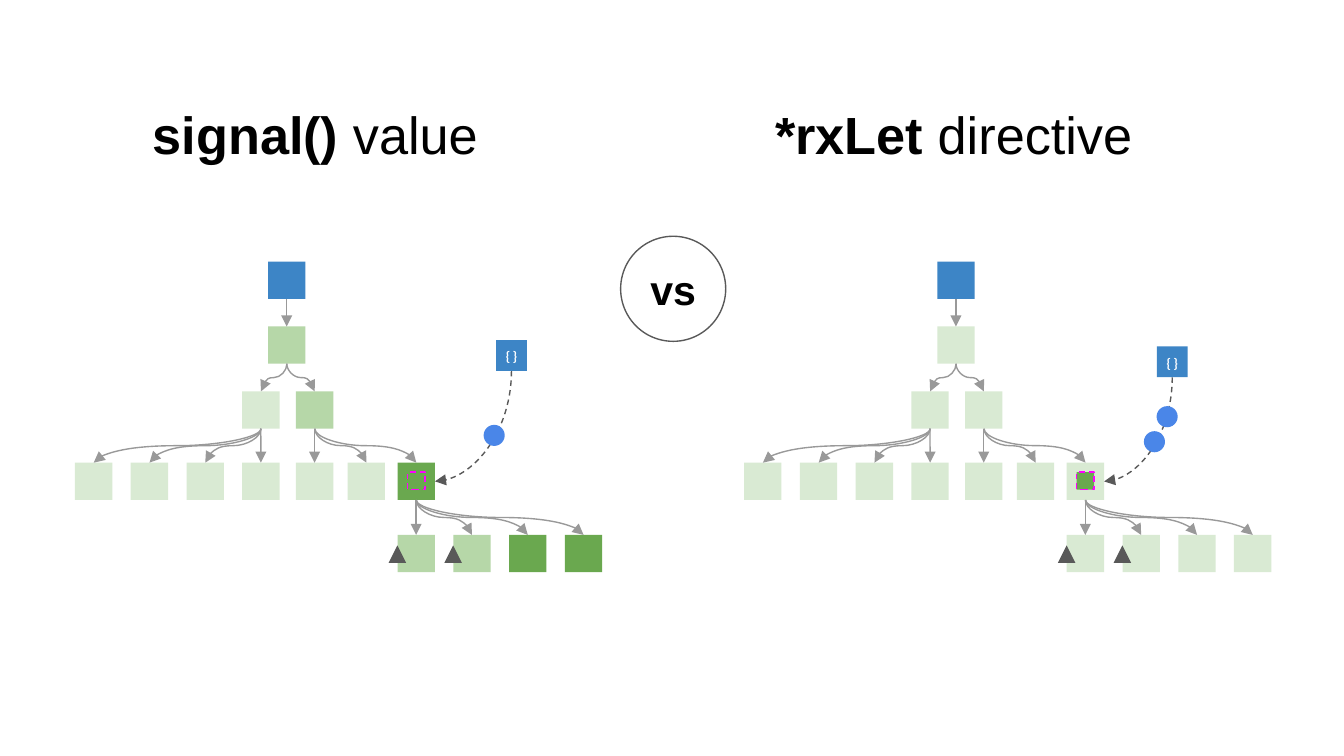
import pptx
import pptx.util
import pptx.dml.color
import pptx.enum.dml
import pptx.enum.shapes
import pptx.enum.text
import pptx.oxml.ns
from lxml import etree

Pt = pptx.util.Pt
KIND = pptx.enum.shapes.MSO_SHAPE
ALIGN = pptx.enum.text.PP_ALIGN
ANCHOR = pptx.enum.text.MSO_ANCHOR
DASH = pptx.enum.dml.MSO_LINE.DASH

# Content
BLUE, DOT, PINK = "3D85C6", "4A86E8", "FF00FF"
PALE, MID, FULL = "D9EAD3", "B6D7A8", "6AA84F"
GRAY, DARK, BLACK, WHITE = "999999", "595959", "000000", "FFFFFF"

BOX = 20
GAP = 29.87
ROWS = [140.2, 174.9, 209.7, 247.9, 286.6]
# node: (left, row)
NODES = {"root": (143.7, 0), "app": (143.7, 1), "west": (129.8, 2), "east": (158.6, 2)}
NODES |= {f"w{i}": (40.2 + i * GAP, 3) for i in range(4)}
NODES |= {"e0": (158.6, 3), "e1": (186.3, 3), "host": (213, 3)}
NODES |= {f"h{i}": (213 + i * GAP, 4) for i in range(4)}
KIDS = {
    "root": ["app"],
    "app": ["west", "east"],
    "west": ["w0", "w1", "w2", "w3"],
    "east": ["e0", "e1", "host"],
    "host": ["h0", "h1", "h2", "h3"],
}
# shift moves the tree; title and the rest are in slide points
SIDES = [
    dict(shift=0, title=("signal() ", "value"), left=25.9,
         fills={"app": MID, "east": MID, "host": FULL,
                "h0": MID, "h1": MID, "h2": FULL, "h3": FULL},
         brace=(265.8, 182.2), dots=[(259.1, 227.6)]),
    dict(shift=358.5, title=("*rxLet ", "directive"), left=367.9,
         fills={}, brace=(619.8, 185.6),
         dots=[(612.8, 231), (619.6, 217.6)]),
]


def tint(color, code):
    color.rgb = pptx.dml.color.RGBColor.from_string(code)


def shape(home, kind, x, y, size, fill, line=None, dash=False):
    item = home.add_shape(kind, Pt(x), Pt(y), Pt(size), Pt(size))
    item.shadow.inherit = False
    item.fill.solid()
    tint(item.fill.fore_color, fill)
    if line:
        stroke(item.line, line, dash)
    else:
        item.line.fill.background()
    return item


def stroke(line, code, dash):
    line.fill.solid()
    tint(line.color, code)
    line.width = Pt(0.75)
    if dash:
        line.dash_style = DASH


def write(item, runs, size, font, code, pad, anchor):
    """Each run is (text, bold)."""
    frame = item.text_frame
    frame.word_wrap = True
    frame.auto_size = pptx.enum.text.MSO_AUTO_SIZE.NONE
    frame.vertical_anchor = anchor
    frame.margin_left = frame.margin_right = Pt(pad)
    frame.margin_top = frame.margin_bottom = Pt(pad)
    para = frame.paragraphs[0]
    para.alignment = ALIGN.CENTER
    para.space_before = Pt(0)
    for text, bold in runs:
        run = para.add_run()
        run.text = text
        run.font.size, run.font.name, run.font.bold = Pt(size), font, bold
        tint(run.font.color, code)
    return para


def curve(home, start, end, code, bend="curvedConnector3", dash=False):
    """Arrow that leaves downward: a sideways curve turned a quarter."""
    (x1, y1), (x2, y2) = start, end
    wide, high = y2 - y1, abs(x2 - x1)
    left, top = (x1 + x2 - wide) / 2, (y1 + y2 - high) / 2
    ends = [left, left + wide]
    right = x2 >= x1
    if right:
        ends.reverse()
    item = home.add_connector(pptx.enum.shapes.MSO_CONNECTOR.CURVE,
                              Pt(ends[0]), Pt(top), Pt(ends[1]), Pt(top + high))
    stroke(item.line, code, dash)
    qn = pptx.oxml.ns.qn
    props = item._element.spPr
    props.find(qn("a:xfrm")).set("rot", str((270 if right else 90) * 60000))
    props.find(qn("a:prstGeom")).set("prst", bend)
    etree.SubElement(props.find(qn("a:ln")), qn("a:tailEnd"), type="triangle")
    etree.SubElement(props, qn("a:effectLst"))


def tree(home, side):
    spots = {name: (x + side["shift"], ROWS[row]) for name, (x, row) in NODES.items()}
    for name, (x, y) in spots.items():
        fill = BLUE if name == "root" else side["fills"].get(name, PALE)
        shape(home, KIND.RECTANGLE, x, y, BOX, fill)
    for name, kids in KIDS.items():
        x, y = spots[name]
        for kid in kids:
            tip = spots[kid]
            curve(home, (x + BOX / 2, y + BOX), (tip[0] + BOX / 2, tip[1]), GRAY)
    return spots


deck = pptx.Presentation()
deck.slide_width, deck.slide_height = Pt(720), Pt(405)
slide = deck.slides.add_slide(deck.slide_layouts[5])
shapes = slide.shapes

# Headings
for side in SIDES:
    if side is SIDES[0]:
        head = shapes.title
        head.left, head.top, head.width, head.height = (
            Pt(side["left"]), Pt(47.5), Pt(286), Pt(55.4))
    else:
        head = shapes.add_textbox(Pt(side["left"]), Pt(47.5), Pt(286), Pt(55.4))
    strong, plain = side["title"]
    write(head, [(strong, True), (plain, False)], 28, "Arial", BLACK, 7.2, ANCHOR.TOP)

# Trees with their signal source
for side in SIDES:
    spots = tree(shapes.add_group_shape().shapes, side)
    x, y = spots["host"]
    shape(shapes, KIND.RECTANGLE, x + 5.3, y + 5, 9.4, FULL, PINK, True)

    left, top = side["brace"]
    curve(shapes, (left + 8.2, top + 16.5), (x + BOX, y + BOX / 2), DARK,
          "curvedConnector2", True)
    for spot in side["dots"]:
        shape(shapes, KIND.OVAL, *spot, 11.3, DOT)
    brace = shape(shapes, KIND.RECTANGLE, left, top, 16.5, BLUE)
    para = write(brace, [("{ }", True)], 7, "Lato", WHITE, 0, ANCHOR.MIDDLE)
    para.line_spacing = 1.15

    for name in ("h0", "h1"):
        x, y = spots[name]
        shape(shapes, KIND.ISOSCELES_TRIANGLE, x - 4.8, y + 5.6, 9.4, DARK)

# Badge
badge = shape(shapes, KIND.OVAL, 332.5, 126.6, 56.3, WHITE, DARK)
write(badge, [("vs", True)], 22, "Arial", BLACK, 7.2, ANCHOR.MIDDLE)

deck.save("out.pptx")
